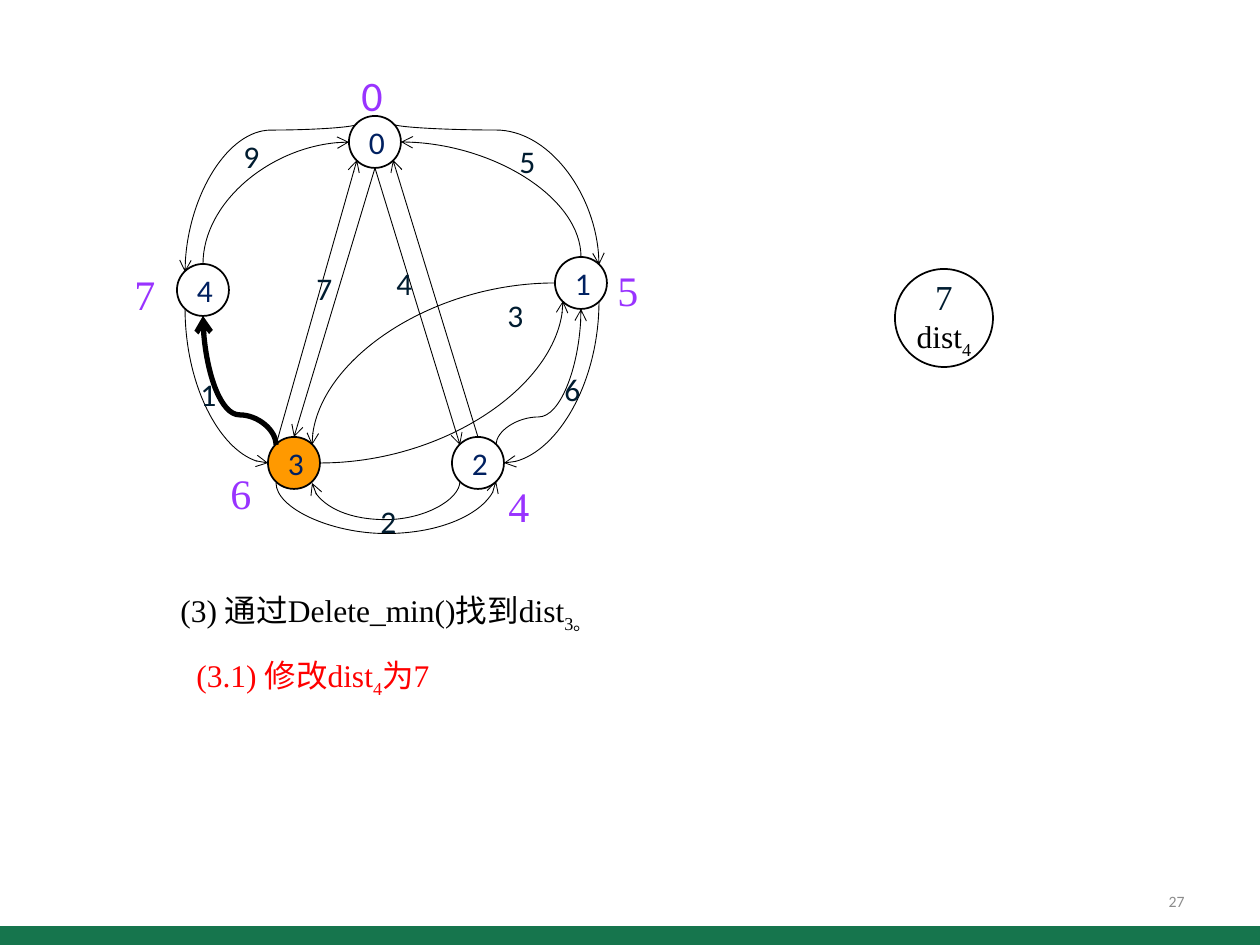
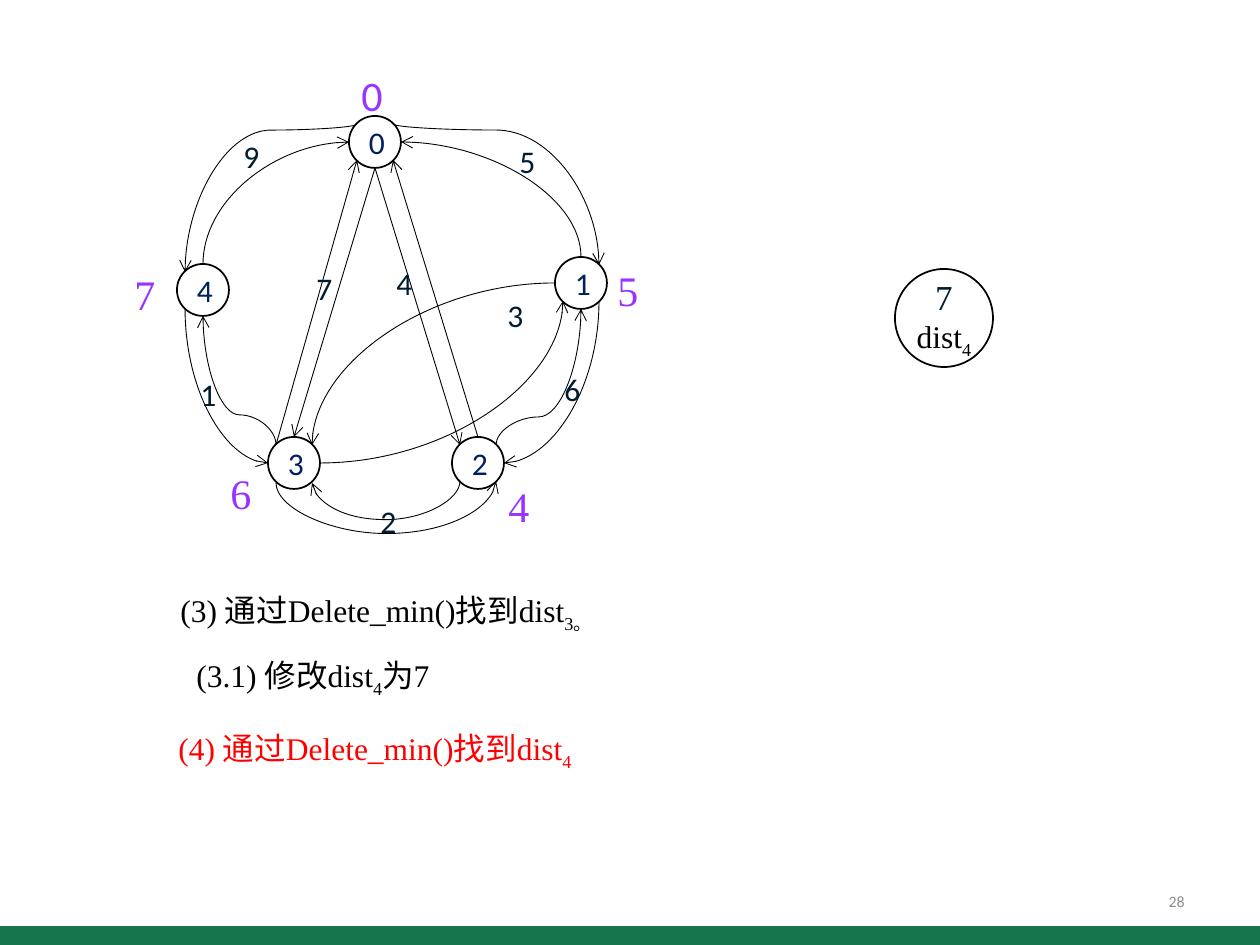
from dataclasses import dataclass

from pptx import Presentation
from pptx.dml.color import RGBColor
from pptx.enum.shapes import MSO_CONNECTOR, MSO_SHAPE
from pptx.enum.text import MSO_ANCHOR, MSO_AUTO_SIZE, PP_ALIGN
from pptx.oxml.ns import qn
from pptx.oxml.xmlchemy import OxmlElement
from pptx.util import Pt

OVAL, RECTANGLE = MSO_SHAPE.OVAL, MSO_SHAPE.RECTANGLE
STRAIGHT, CURVE = MSO_CONNECTOR.STRAIGHT, MSO_CONNECTOR.CURVE
LEFT, CENTER, RIGHT = PP_ALIGN.LEFT, PP_ALIGN.CENTER, PP_ALIGN.RIGHT
MIDDLE = MSO_ANCHOR.MIDDLE
FIT, NO_FIT = MSO_AUTO_SIZE.SHAPE_TO_FIT_TEXT, MSO_AUTO_SIZE.NONE


@dataclass(frozen=True)
class Theme:
    sans: str = "Calibri"
    serif: str = "Times New Roman"
    black: str = "000000"
    red: str = "FF0000"
    green: str = "16754D"
    gray: str = "8C8C8C"
    navy: str = "002060"
    ink: str = "001C30"
    purple: str = "9933FF"
    orange: str = "FF9900"
    page_size: int = 9
    text_size: int = 18
    key_size: int = 20
    distance_size: int = 24
    thin: float = 0.5
    outline: float = 1
    thick: float = 3


theme = Theme()
SLIDE_WIDTH, SLIDE_HEIGHT = 1260, 945
RADIUS, DIAGONAL = 26, 18
MIN_EXTENT = 2


def px(length):
    return round(length * 914400 / 126)


def write(shape, runs, font, size, color, align=LEFT):
    """Append (text, is_subscript) runs to the shape's first paragraph."""
    paragraph = shape.text_frame.paragraphs[0]
    paragraph.alignment = align
    for text, is_subscript in runs:
        run = paragraph.add_run()
        run.text = text
        run.font.name = font
        run.font.size = Pt(size)
        run.font.color.rgb = RGBColor.from_string(color)
        if is_subscript:
            run._r.get_or_add_rPr().set("baseline", "-25000")


# Connection sites of an ellipse, counted from the top against the clock
SITES = {
    "top": (0, 0, -RADIUS), "top left": (1, -DIAGONAL, -DIAGONAL),
    "left": (2, -RADIUS, 0), "bottom left": (3, -DIAGONAL, DIAGONAL),
    "bottom": (4, 0, RADIUS), "bottom right": (5, DIAGONAL, DIAGONAL),
    "right": (6, RADIUS, 0), "top right": (7, DIAGONAL, -DIAGONAL),
}

# Graph vertex: centre
NODES = {0: (375, 142), 4: (203, 290), 3: (294, 463), 2: (478, 463), 1: (581, 283)}

# Begin vertex and site, end vertex and site, geometry, arrow end, bend distance
LINE, ARC, S_CURVE = "line", "curvedConnector2", "curvedConnector3"
HEAD, TAIL = "a:headEnd", "a:tailEnd"
EDGES = [
    (0, "top left", 4, "top left", S_CURVE, TAIL, 6),
    (3, "left", 4, "bottom left", ARC, HEAD, 0),
    (1, "top right", 0, "top right", S_CURVE, HEAD, 135),
    (2, "bottom right", 3, "bottom left", S_CURVE, HEAD, 53),
    (1, "bottom right", 2, "right", ARC, TAIL, 0),
    (2, "top left", 0, "bottom", LINE, HEAD, 0),
    (3, "top", 0, "bottom", LINE, HEAD, 0),
    (1, "left", 3, "top right", ARC, TAIL, 0),
    (2, "bottom left", 3, "bottom right", S_CURVE, TAIL, 39),
    (1, "bottom left", 3, "right", ARC, HEAD, 0),
    (3, "top left", 4, "bottom", S_CURVE, TAIL, 30),
    (1, "bottom", 2, "top right", S_CURVE, HEAD, 108),
    (0, "left", 4, "top", ARC, HEAD, 0),
    (1, "top", 0, "right", ARC, TAIL, 0),
    (3, "top left", 0, "bottom left", LINE, TAIL, 0),
    (2, "top", 0, "bottom right", LINE, TAIL, 0),
]

WEIGHTS = [("9", 231, 131), ("5", 507, 136), ("4", 384, 258), ("7", 304, 263),
           ("1", 188, 369), ("2", 368, 496), ("3", 495, 290), ("6", 552, 364)]
DISTANCES = [("0", 349, 63, theme.sans), ("5", 605, 258, theme.serif),
             ("4", 496, 474, theme.serif), ("6", 218, 461, theme.serif),
             ("7", 122, 262, theme.serif)]
LABELS = [(text, left, top, 43, 50, theme.sans, theme.text_size, theme.ink)
          for text, left, top in WEIGHTS]
LABELS += [(text, left, top, 47, 63, font, theme.distance_size, theme.purple)
           for text, left, top, font in DISTANCES]

# Left, top, width, runs
STEPS = [
    (168, 585, 501, [("(3) 通过Delete_min()找到dist", False), ("3。", True)]),
    (184, 650, 364, [("(3.1) 修改dist", False), ("4", True), ("为7", False)]),
    (166, 723, 503, [("(4) 通过Delete_min()找到dist", False), ("4", True)]),
]

# Page number, steps shown, filled vertex, thick edge (begin, end)
PAGES = [("27", 2, 3, (3, 4)), ("28", 3, None, None)]

presentation = Presentation()
presentation.slide_width, presentation.slide_height = px(SLIDE_WIDTH), px(SLIDE_HEIGHT)
blank_layout = presentation.slide_layouts[6]

for page_number, step_count, filled_node, thick_edge in PAGES:
    slide = presentation.slides.add_slide(blank_layout)
    shapes = slide.shapes

    # The bottom band belongs to the master, so it is made once
    if page_number == PAGES[0][0]:
        band = shapes.add_shape(RECTANGLE, 0, px(926), px(SLIDE_WIDTH), px(SLIDE_HEIGHT - 926))
        band.shadow.inherit = False
        band.fill.solid()
        band.fill.fore_color.rgb = RGBColor.from_string(theme.green)
        band.line.fill.background()
        presentation.slide_master.element.cSld.spTree.insert(2, band.element)

    page_box = shapes.add_textbox(px(903), px(876), px(294), px(50))
    page_box.text_frame.vertical_anchor = MIDDLE
    page_box.text_frame.word_wrap = True
    write(page_box, [(page_number, False)], theme.sans, theme.page_size, theme.gray, RIGHT)

    # Vertices, then the heap entry
    ovals = {}
    circles = [(node, x, y, RADIUS) for node, (x, y) in NODES.items()]
    for node, x, y, radius in circles + [("heap", 944, 318, 49)]:
        oval = shapes.add_shape(OVAL, px(x - radius), px(y - radius), px(2 * radius), px(2 * radius))
        oval.shadow.inherit = False
        if node == filled_node:
            oval.fill.solid()
            oval.fill.fore_color.rgb = RGBColor.from_string(theme.orange)
        else:
            oval.fill.background()
        oval.line.color.rgb = RGBColor.from_string(theme.black)
        oval.line.width = Pt(theme.outline)
        oval.text_frame.vertical_anchor = MIDDLE
        ovals[node] = oval
        if node != "heap":
            write(oval, [(str(node), False)], theme.sans, theme.text_size, theme.navy, CENTER)

    heap_frame = ovals["heap"].text_frame
    heap_frame.margin_left = heap_frame.margin_right = 0
    heap_frame.margin_top = heap_frame.margin_bottom = 0
    write(ovals["heap"], [("7", False)], theme.serif, theme.key_size, theme.ink, CENTER)
    heap_frame.paragraphs[0].add_line_break()
    write(ovals["heap"], [("dist", False), ("4", True)],
          theme.serif, theme.text_size, theme.black, CENTER)

    for begin, begin_site, end, end_site, geometry, arrow, bend in EDGES:
        begin_index, begin_dx, begin_dy = SITES[begin_site]
        end_index, end_dx, end_dy = SITES[end_site]
        x1, y1 = NODES[begin][0] + begin_dx, NODES[begin][1] + begin_dy
        x2, y2 = NODES[end][0] + end_dx, NODES[end][1] + end_dy

        if geometry == LINE:
            connector = shapes.add_connector(STRAIGHT, px(x1), px(y1), px(x2), px(y2))
        else:
            # A curve that leaves vertically is a horizontal one turned by 90 degrees
            if begin_site in ("left", "right"):
                rotation, along, across = 0, x2 - x1, y2 - y1
            else:
                y2 = y2 if y2 != y1 else y1 + MIN_EXTENT
                rotation, along, across = 90, y2 - y1, x1 - x2
            flipped = across < 0
            if along < 0:
                rotation, flipped = rotation + 180, not flipped
            width, height = abs(along), abs(across)
            left, top = (x1 + x2 - width) / 2, (y1 + y2 - height) / 2
            connector = shapes.add_connector(
                CURVE, px(left), px(top), px(left + width), px(top + height))
            transform = connector.element.spPr.find(qn("a:xfrm"))
            transform.set("rot", str(rotation * 60000))
            if flipped:
                transform.set("flipV", "1")
            preset = connector.element.spPr.find(qn("a:prstGeom"))
            preset.set("prst", geometry)
            if geometry == S_CURVE:
                guide = OxmlElement("a:gd")
                guide.set("name", "adj1")
                guide.set("fmla", f"val {round(bend / width * 100000)}")
                preset.find(qn("a:avLst")).append(guide)

        links = connector.element.find(".//" + qn("p:cNvCxnSpPr"))
        for tag, node, index in (("a:stCxn", begin, begin_index), ("a:endCxn", end, end_index)):
            link = OxmlElement(tag)
            link.set("id", str(ovals[node].shape_id))
            link.set("idx", str(index))
            links.append(link)

        connector.line.color.rgb = RGBColor.from_string(theme.black)
        connector.line.width = Pt(theme.thick if (begin, end) == thick_edge
                                  and geometry == S_CURVE else theme.thin)
        arrowhead = OxmlElement(arrow)
        arrowhead.set("type", "arrow")
        properties = connector.element.spPr
        properties.find(qn("a:ln")).append(arrowhead)
        properties.append(OxmlElement("a:effectLst"))

    for text, left, top, width, height, font, size, color in LABELS:
        label = shapes.add_textbox(px(left), px(top), px(width), px(height))
        label.text_frame.word_wrap = False
        label.text_frame.auto_size = FIT
        write(label, [(text, False)], font, size, color)

    for number, (left, top, width, runs) in enumerate(STEPS[:step_count], start=1):
        step_box = shapes.add_textbox(px(left), px(top), px(width), px(50))
        step_box.text_frame.word_wrap = True
        step_box.text_frame.auto_size = FIT
        color = theme.red if number == step_count else theme.black
        write(step_box, runs, theme.serif, theme.text_size, color)

presentation.save("out.pptx")
